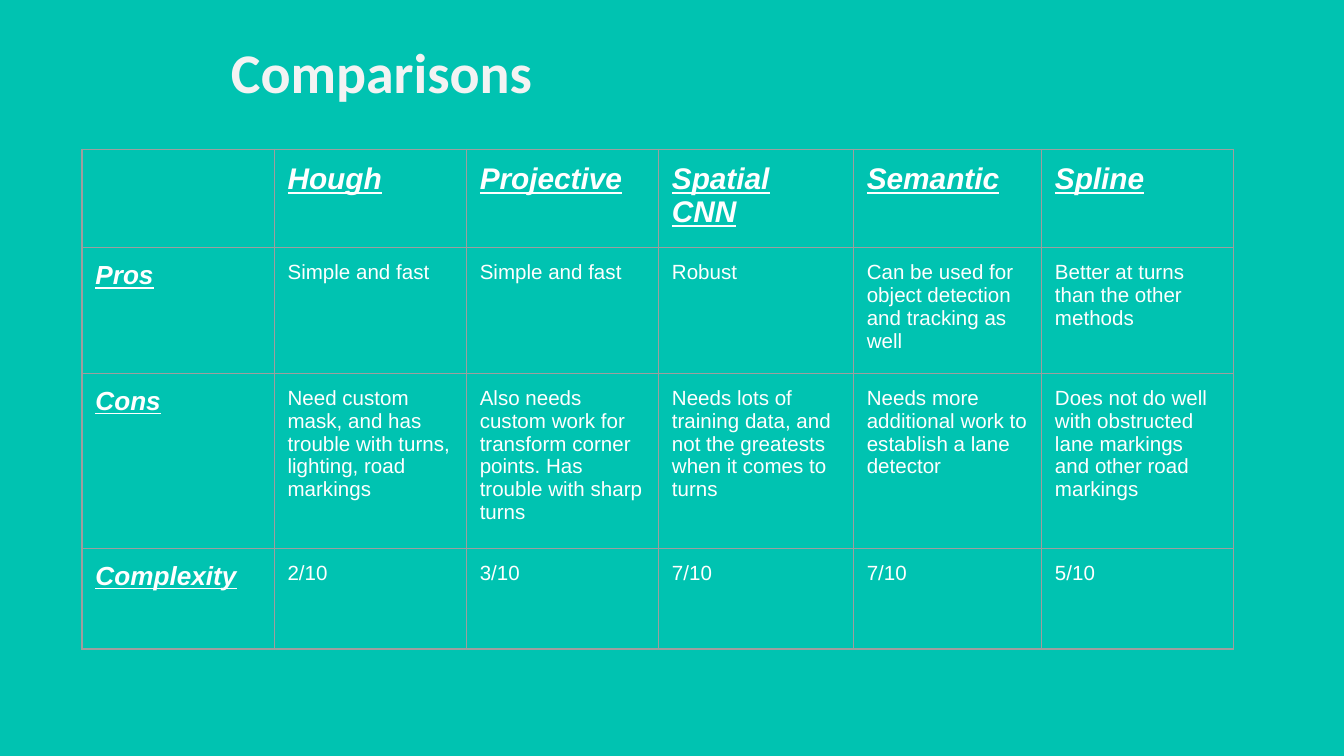
from dataclasses import dataclass

from lxml.etree import SubElement
from pptx import Presentation
from pptx.dml.color import RGBColor
from pptx.enum.text import MSO_ANCHOR, PP_ALIGN
from pptx.oxml.ns import qn
from pptx.util import Inches, Pt


@dataclass(frozen=True)
class Theme:
    background: str = "00C3B1"
    title: str = "F3F3F3"
    text: str = "FFFFFF"
    border: str = "9E9E9E"
    title_font: str = "Calibri"
    body_font: str = "Arial"
    title_size: float = 30
    column_size: float = 16
    row_size: float = 14
    body_size: float = 11
    border_width: float = 0.75
    inset: float = 0.1


COLUMN_WIDTHS = [1.43, 1.43, 1.43, 1.45, 1.4, 1.43]
ROW_HEIGHTS = [0.69, 0.88, 1.22, 0.75]
COMPARISON = [
    ["", "Hough", "Projective", "Spatial CNN", "Semantic", "Spline"],
    ["Pros", "Simple and fast", "Simple and fast", "Robust",
     "Can be used for object detection and tracking as well",
     "Better at turns than the other methods"],
    ["Cons",
     "Need custom mask, and has trouble with turns, lighting, road markings",
     "Also needs custom work for transform corner points. Has trouble with sharp turns",
     "Needs lots of training data, and not the greatests when it comes to turns",
     "Needs more additional work to establish a lane detector",
     "Does not do well with obstructed lane markings and other road markings"],
    ["Complexity", "2/10", "3/10", "7/10", "7/10", "5/10"],
]


def write_text(tf, text, *, font, size, color, bold=False, italic=False,
               underline=False, align=PP_ALIGN.LEFT):
    p = tf.paragraphs[0]
    p.alignment = align
    if not text:
        p.font.size = Pt(size)
        return
    r = p.add_run()
    r.text = text
    r.font.name = font
    r.font.size = Pt(size)
    r.font.color.rgb = RGBColor.from_string(color)
    r.font.bold, r.font.italic, r.font.underline = bold, italic, underline


def set_margins(frame, inset):
    frame.margin_left = frame.margin_right = Inches(inset)
    frame.margin_top = frame.margin_bottom = Inches(inset)


class SlideBuilder:
    def __init__(self, prs, theme):
        self.theme = theme
        self.s = prs.slides.add_slide(prs.slide_layouts[6])
        fill = self.s.background.fill
        fill.solid()
        fill.fore_color.rgb = RGBColor.from_string(theme.background)

    def title(self, text, left, top, width, height):
        t = self.theme
        sp = self.s.shapes.add_textbox(
            Inches(left), Inches(top), Inches(width), Inches(height))
        tf = sp.text_frame
        tf.word_wrap = True
        tf.vertical_anchor = MSO_ANCHOR.TOP
        set_margins(tf, t.inset)
        write_text(tf, text, font=t.title_font, size=t.title_size,
                   color=t.title, bold=True, align=PP_ALIGN.CENTER)

    def table(self, rows, left, top, widths, heights):
        frame = self.s.shapes.add_table(
            len(rows), len(widths), Inches(left), Inches(top),
            Inches(sum(widths)), Inches(sum(heights)))
        table = frame.table
        table.first_row = table.horz_banding = False
        for column, width in zip(table.columns, widths):
            column.width = Inches(width)
        for row, height in zip(table.rows, heights):
            row.height = Inches(height)
        for i, texts in enumerate(rows):
            for j, text in enumerate(texts):
                self.cell(table.cell(i, j), text, i == 0, j == 0)

    def cell(self, cell, text, in_header_row, in_header_column):
        t = self.theme
        heading = in_header_row or in_header_column
        size = (t.column_size if in_header_row
                else t.row_size if in_header_column else t.body_size)
        set_margins(cell, t.inset)
        self.borders(cell)
        cell.fill.background()
        write_text(cell.text_frame, text, font=t.body_font, size=size,
                   color=t.text, bold=heading, italic=heading,
                   underline=heading)

    def borders(self, cell):
        tc_pr = cell._tc.get_or_add_tcPr()
        for side in ("lnL", "lnR", "lnT", "lnB"):
            ln = SubElement(tc_pr, qn(f"a:{side}"),
                            w=str(Pt(self.theme.border_width)))
            fill = SubElement(ln, qn("a:solidFill"))
            SubElement(fill, qn("a:srgbClr"), val=self.theme.border)


def main():
    prs = Presentation()
    prs.slide_width = Inches(10)
    prs.slide_height = prs.slide_width * 9 // 16
    slide = SlideBuilder(prs, Theme())
    slide.title("Comparisons", 0.99, 0.18, 3.7, 0.63)
    slide.table(COMPARISON, 0.61, 1.11, COLUMN_WIDTHS, ROW_HEIGHTS)
    prs.save("out.pptx")


if __name__ == "__main__":
    main()
